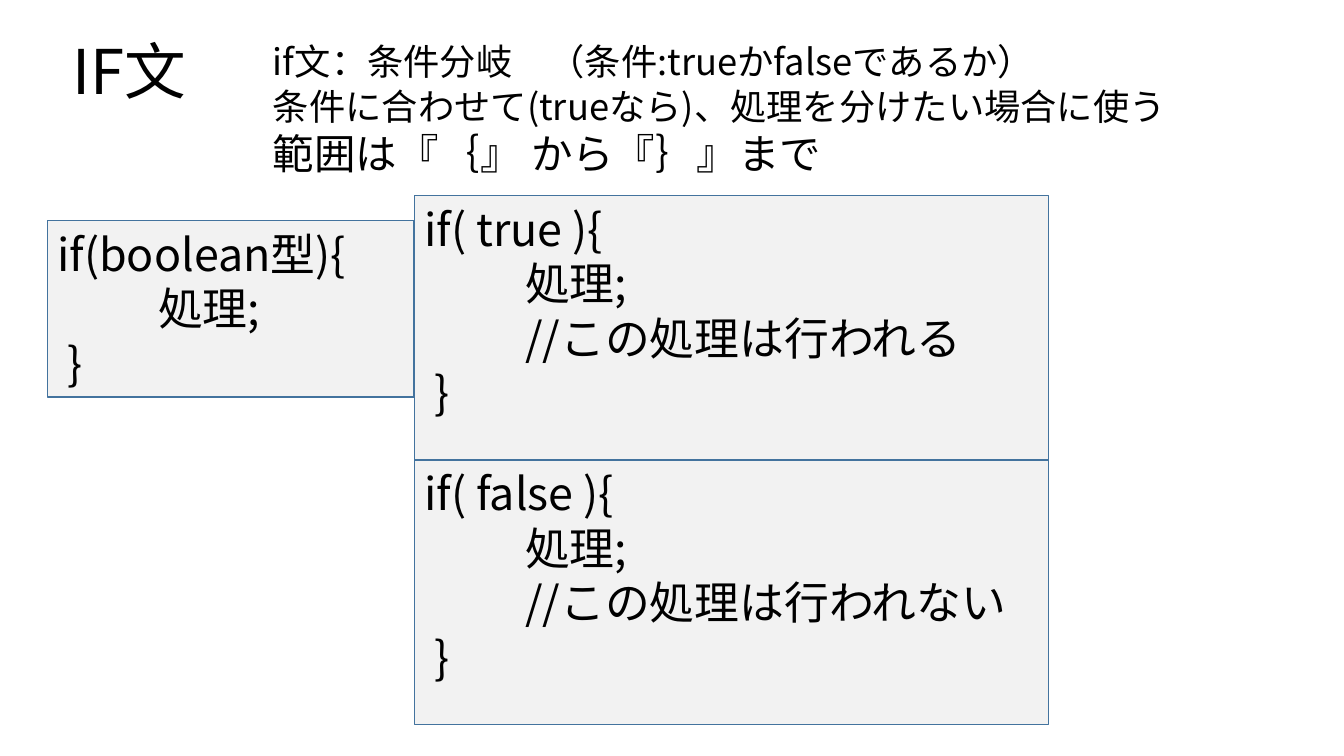
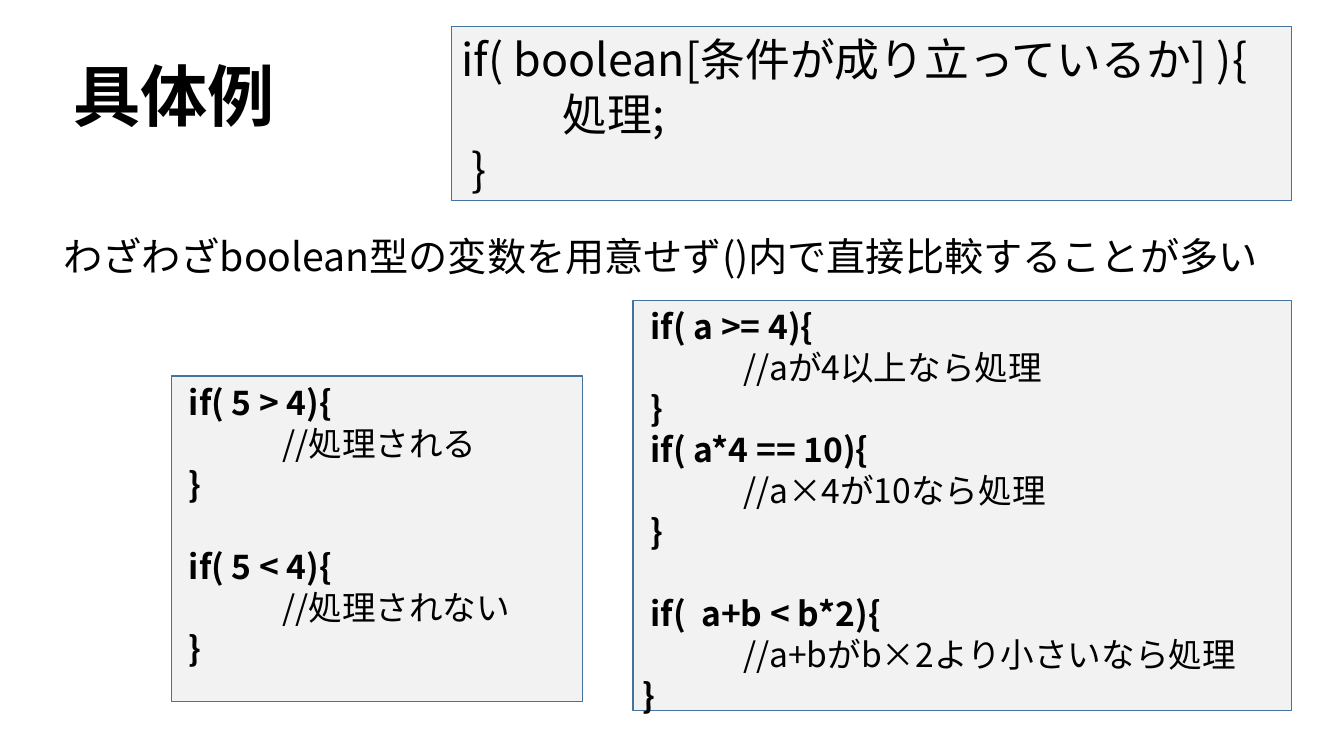
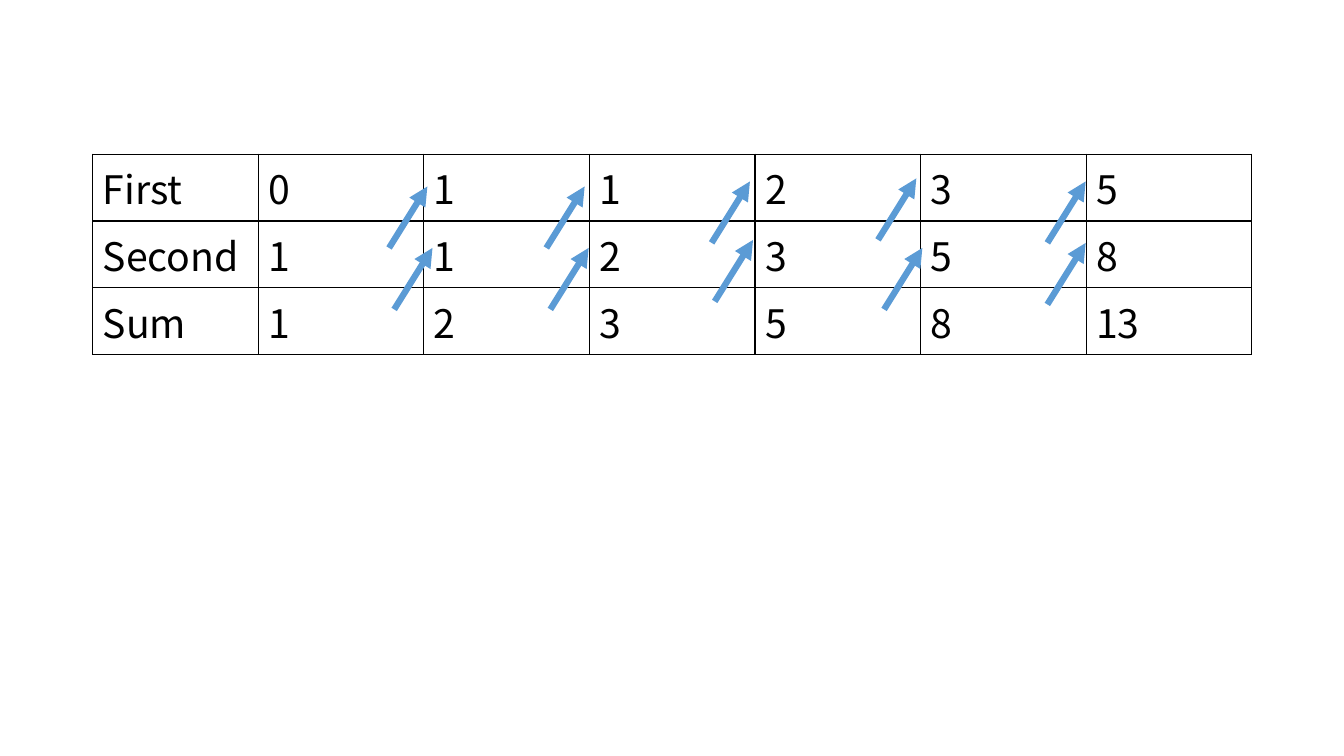
import dataclasses
import pptx
import pptx.util
import pptx.dml.color
import pptx.enum.shapes
import pptx.enum.text
import pptx.oxml
import pptx.oxml.ns
import lxml.etree


@dataclasses.dataclass(frozen=True)
class Theme:
    """Colours, type sizes and line pitches of the deck."""
    font: str = "Noto Sans CJK JP"
    ink: str = "000000"
    panel: str = "F2F2F2"
    edge: str = "43739E"
    arrow: str = "5B9BD5"
    code: float = 32
    small: float = 24
    body: float = 28
    pitch: float = 1.22
    title_pitch: float = 0.9


THEME = Theme()
WIDE = pptx.util.Inches(13.33)
HIGH = pptx.util.Inches(7.5)


def across(share):
    """Turn a percentage of the slide width into a length."""
    return int(WIDE * share / 100)


def down(share):
    """Turn a percentage of the slide height into a length."""
    return int(HIGH * share / 100)


def place(area):
    """Turn left, top, width, height in percent into lengths."""
    left, top, width, height = area
    return across(left), down(top), across(width), down(height)


def paint(code):
    """Make a colour from its hex code."""
    return pptx.dml.color.RGBColor.from_string(code)


def node(parent, tag, **attrs):
    """Add a drawing element below a parent."""
    return lxml.etree.SubElement(parent, pptx.oxml.ns.qn(tag), attrs)


def style(para, size, bold=False):
    """Format all runs of a paragraph."""
    for run in para.runs:
        run.font.name = THEME.font
        run.font.size = pptx.util.Pt(size)
        run.font.bold = bold
        run.font.color.rgb = paint(THEME.ink)
        node(run._r.get_or_add_rPr(), "a:ea", typeface=THEME.font)


def lead(para, size, pitch, before=0):
    """Left-align a paragraph and set its line pitch and space before."""
    para.alignment = pptx.enum.text.PP_ALIGN.LEFT
    para.line_spacing = pptx.util.Pt(round(size * pitch, 1))
    para.space_before = pptx.util.Pt(before)


def add_title(slide, text, area, size, bold=False):
    """Fill and move the title placeholder."""
    title = slide.shapes.title
    title.left, title.top, title.width, title.height = place(area)
    frame = title.text_frame
    frame.text = text
    frame.vertical_anchor = pptx.enum.text.MSO_ANCHOR.MIDDLE
    para = frame.paragraphs[0]
    para.alignment = pptx.enum.text.PP_ALIGN.LEFT
    para.line_spacing = THEME.title_pitch
    style(para, size, bold)


def add_body(slide, lines, area, pitch, before=0):
    """Add plain text from (text, size) lines."""
    frame = slide.shapes.add_textbox(*place(area)).text_frame
    frame.word_wrap = True
    frame.text = "\n".join(text for text, size in lines)
    for para, (text, size) in zip(frame.paragraphs, lines):
        lead(para, size, pitch, before)
        style(para, size)


def add_code(slide, lines, area, size=THEME.code, bold=False, gaps=()):
    """Add a code panel; lines numbered in gaps have a free line above."""
    panel = slide.shapes.add_shape(
        pptx.enum.shapes.MSO_SHAPE.RECTANGLE, *place(area))
    panel.shadow.inherit = False
    panel.fill.solid()
    panel.fill.fore_color.rgb = paint(THEME.panel)
    panel.line.color.rgb = paint(THEME.edge)
    panel.line.width = pptx.util.Pt(1)
    frame = panel.text_frame
    frame.word_wrap = True
    frame.vertical_anchor = pptx.enum.text.MSO_ANCHOR.TOP
    frame.text = "\n".join(lines)
    for count, para in enumerate(frame.paragraphs):
        lead(para, size, THEME.pitch, size * THEME.pitch * (count in gaps))
        tabs = node(para._p.get_or_add_pPr(), "a:tabLst")
        node(tabs, "a:tab", pos=str(pptx.util.Inches(1)), algn="l")
        style(para, size)
        for run in para.runs:
            run.font.bold = bold and "//" not in run.text


def add_edges(cell):
    """Draw a thin line on all four sides of a cell."""
    props = cell._tc.get_or_add_tcPr()
    for count, side in enumerate(("a:lnL", "a:lnR", "a:lnT", "a:lnB")):
        line = pptx.oxml.parse_xml(
            f'<{side} {pptx.oxml.ns.nsdecls("a")} w="{pptx.util.Pt(1)}">'
            f'<a:solidFill><a:srgbClr val="{THEME.ink}"/></a:solidFill>'
            f'</{side}>')
        props.insert(count, line)


def add_table(slide, rows, area):
    """Add a plain ruled table with equal columns and rows."""
    table = slide.shapes.add_table(
        len(rows), len(rows[0]), *place(area)).table
    table.first_row = False
    table.horz_banding = False
    for row, texts in enumerate(rows):
        for col, text in enumerate(texts):
            cell = table.cell(row, col)
            cell.text_frame.text = text
            cell.fill.background()
            style(cell.text_frame.paragraphs[0], THEME.body)
            add_edges(cell)


def add_arrow(slide, left, base, run=2.85, rise=8.13):
    """Add an arrow that climbs to the right from its start."""
    arrow = slide.shapes.add_connector(
        pptx.enum.shapes.MSO_CONNECTOR.STRAIGHT, across(left), down(base),
        across(left + run), down(base - rise))
    arrow.line.color.rgb = paint(THEME.arrow)
    arrow.line.width = pptx.util.Pt(4.5)
    node(arrow.line._get_or_add_ln(), "a:tailEnd", type="triangle")
    node(arrow._element.spPr, "a:effectLst")


def build_rule(slide):
    """Explain the if statement."""
    add_title(slide, "IF文", (4.65, 4, 86.25, 11.73), 44)
    add_body(slide, [
        ("if文：条件分岐　（条件:trueかfalseであるか）", 25.9),
        ("条件に合わせて(trueなら)、処理を分けたい場合に使う", 25.9),
        ("範囲は『｛』 から『｝』まで", 29.6),
    ], (19.57, 5.6, 78.75, 18.4), 0.97, 7)
    add_code(slide, ["if(boolean型){\v\t処理;\v }"],
             (3.52, 29.2, 27.3, 23.33))
    cases = [("true", "行われる"), ("false", "行われない")]
    for count, (value, result) in enumerate(cases):
        add_code(slide, [f"if( {value} ){{\v\t処理;",
                         f"\t//この処理は{result}\v }}"],
                 (30.83, 25.87 + 35 * count, 47.18, 35))


def build_cases(slide):
    """Show conditions written straight into the brackets."""
    add_title(slide, "具体例", (4.72, 3.47, 86.25, 19.33), 48, True)
    add_body(slide, [
        ("わざわざboolean型の変数を用意せず()内で直接比較することが多い",
         THEME.body),
    ], (3.97, 30.53, 92.63, 63.47), 1.12)
    add_code(slide, ["if( boolean[条件が成り立っているか] ){\v\t処理;\v }"],
             (33.6, 3.47, 62.48, 23.07))
    add_code(slide, [
        " if( 5 > 4){\v\t//処理される", " }",
        " if( 5 < 4){", "\t//処理されない", " }",
    ], (12.75, 49.73, 30.6, 43.07), THEME.small, True, {2})
    add_code(slide, [
        " if( a >= 4){\v\t//aが4以上なら処理", " }",
        " if( a*4 == 10){", " \t//a×4が10なら処理", " }",
        " if(  a+b < b*2){", "\t//a+bがb×2より小さいなら処理", "}",
    ], (47.1, 39.73, 48.98, 54.27), THEME.small, True, {5})


def build_sums(slide):
    """Show how each sum moves up into the next column."""
    chain = [0, 1, 1, 2, 3, 5, 8, 13]
    names = ["First", "Second", "Sum"]
    rows = [[name] + [str(value) for value in chain[start:start + 6]]
            for start, name in enumerate(names)]
    add_table(slide, rows, (6.9, 20.4, 86.25, 26.53))
    starts = [
        (28.95, 32.8), (29.33, 40.93), (40.65, 32.8), (40.95, 40.93),
        (52.95, 32.13), (53.18, 39.87), (65.33, 31.73), (65.78, 40.93),
        (77.93, 32.13), (77.93, 40.27),
    ]
    for left, base in starts:
        add_arrow(slide, left, base)


def main():
    """Build the deck and save it."""
    deck = pptx.Presentation()
    deck.slide_width, deck.slide_height = WIDE, HIGH
    titled, blank = deck.slide_layouts[5], deck.slide_layouts[6]
    pages = [(titled, build_rule), (titled, build_cases),
             (blank, build_sums)]
    for layout, build in pages:
        build(deck.slides.add_slide(layout))
    deck.save("out.pptx")


main()
